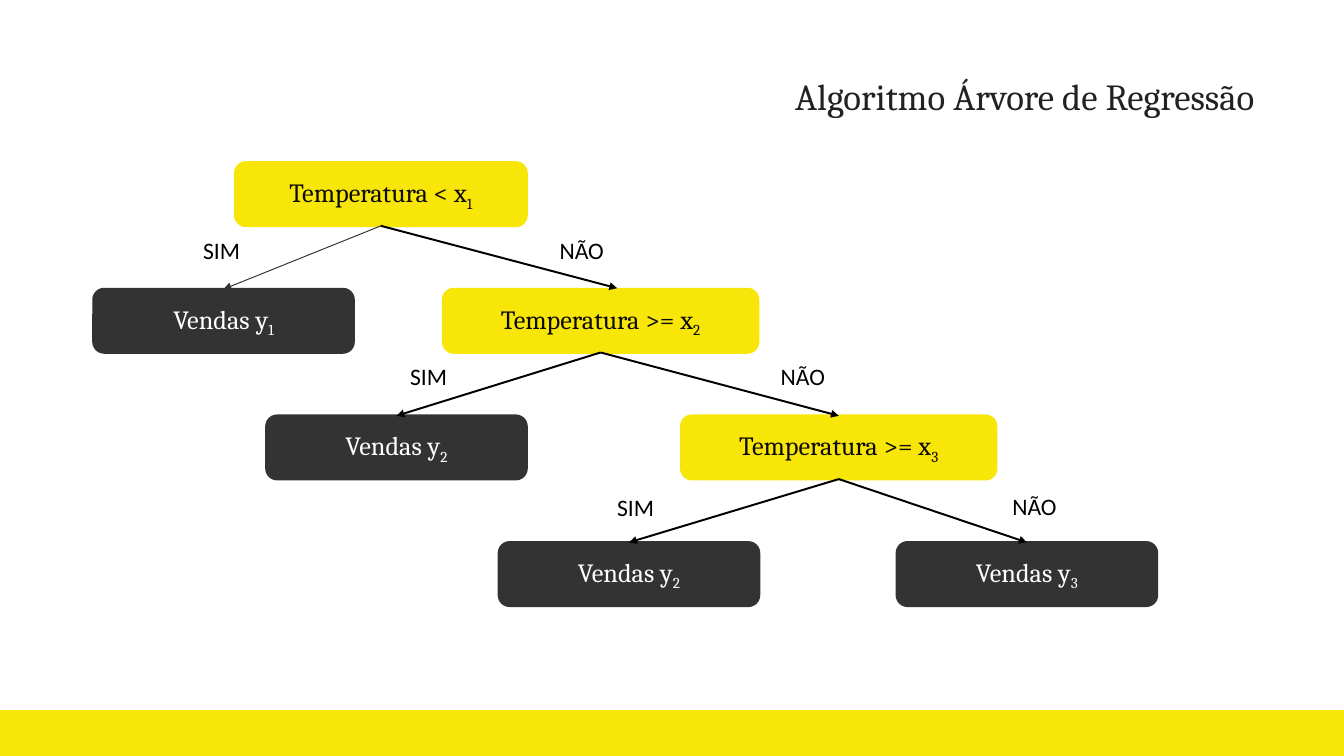
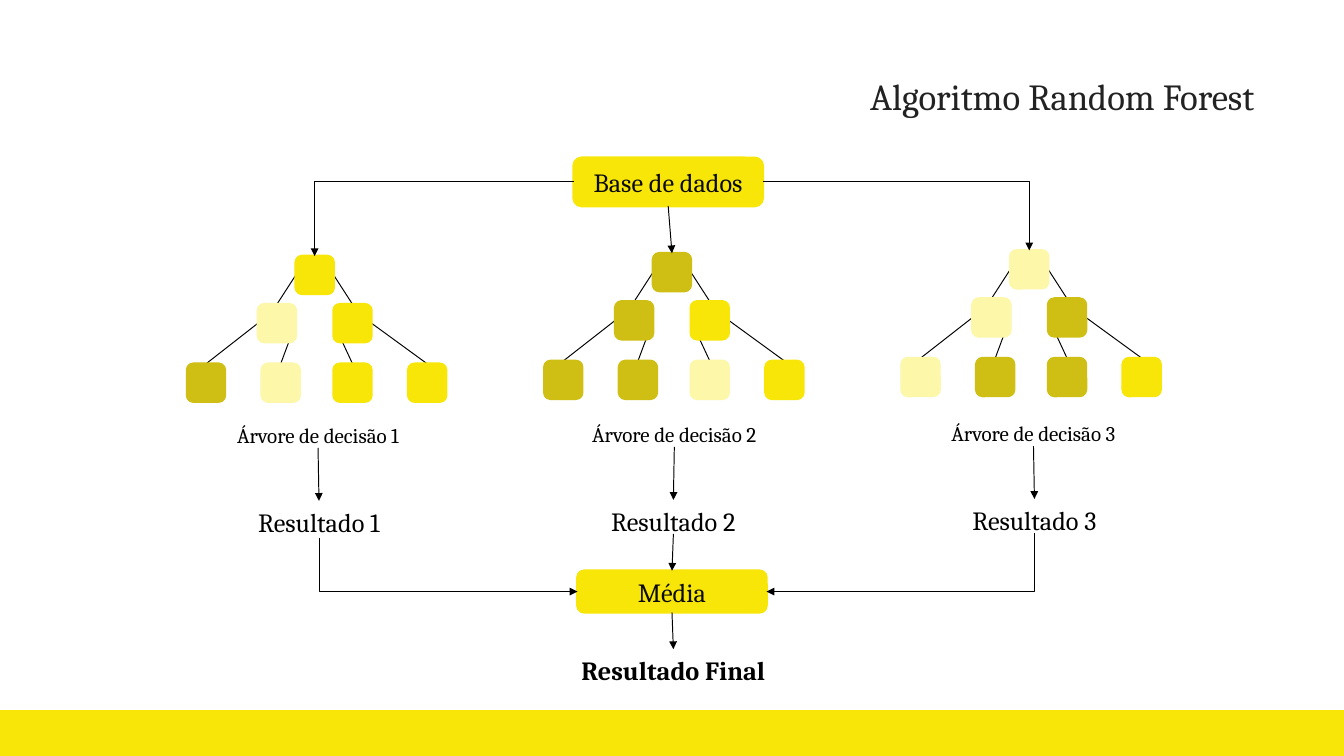
import pptx
import pptx.util
import pptx.dml.color
import pptx.enum.shapes
import pptx.enum.text
import pptx.oxml.ns
import lxml.etree

Inches = pptx.util.Inches
RGBColor = pptx.dml.color.RGBColor
Shape = pptx.enum.shapes.MSO_SHAPE
Connector = pptx.enum.shapes.MSO_CONNECTOR
Align = pptx.enum.text.PP_ALIGN
Anchor = pptx.enum.text.MSO_ANCHOR
qn = pptx.oxml.ns.qn

YELLOW = RGBColor(0xF7, 0xE6, 0x07)
OLIVE = RGBColor(0xCF, 0xBE, 0x13)
PALE = RGBColor(0xFD, 0xF7, 0xA9)
DARK = RGBColor(0x33, 0x33, 0x33)
TITLE_GREY = RGBColor(0x22, 0x22, 0x22)
INK = RGBColor(0x0B, 0x0B, 0x0B)
BLACK = RGBColor(0, 0, 0)
WHITE = RGBColor(0xFF, 0xFF, 0xFF)

# Connection sites of a box
TOP, LEFT, BOTTOM, RIGHT = range(4)

# Slide 1: name -> (text, subscript, left, top, width); sales boxes are leaves
REGRESSION_TITLE = "Algoritmo Árvore de Regressão"
NODE_HEIGHT = 0.67
DECISIONS = {
    "first": ("Temperatura < x", "1", 2.49, 1.72, 3.08),
    "second": ("Temperatura >= x", "2", 4.69, 3.06, 3.33),
    "third": ("Temperatura >= x", "3", 7.21, 4.4, 3.33),
}
SALES = {
    "sales 1": ("Vendas y", "1", 0.99, 3.06, 2.75),
    "sales 2": ("Vendas y", "2", 2.82, 4.4, 2.75),
    "sales 3": ("Vendas y", "2", 5.28, 5.74, 2.75),
    "sales 4": ("Vendas y", "3", 9.49, 5.74, 2.75),
}
# parent, child, answer, answer left, answer top, line colour, line width
ANSWERS = [
    ("first", "sales 1", "SIM", 1.97, 2.45, DARK, 0.75),
    ("first", "second", "NÃO", 5.78, 2.45, BLACK, 1.5),
    ("second", "sales 2", "SIM", 4.16, 3.78, BLACK, 1.5),
    ("second", "third", "NÃO", 8.12, 3.78, BLACK, 1.5),
    ("third", "sales 3", "SIM", 6.35, 5.17, BLACK, 1.5),
    ("third", "sales 4", "NÃO", 10.57, 5.16, BLACK, 1.5),
]
# The arrow into the second decision lands right of the box centre
FREE_LANDINGS = {"second": (6.53, 3.05)}

# Slide 2: node colours run from the root through each level, left to right
FOREST_TITLE = "Algoritmo Random Forest"
TREES = [
    {"root": (3.13, 2.71), "caption": (2.11, 4.35), "result": (2.12, 5.3, 0.39),
     "colors": [YELLOW, PALE, YELLOW, OLIVE, PALE, YELLOW, YELLOW]},
    {"root": (6.91, 2.68), "caption": (5.88, 4.34), "result": (5.87, 5.29, 0.36),
     "colors": [OLIVE, OLIVE, YELLOW, OLIVE, OLIVE, PALE, YELLOW]},
    {"root": (10.69, 2.65), "caption": (9.68, 4.33), "result": (9.69, 5.28, 0.36),
     "colors": [PALE, PALE, OLIVE, PALE, OLIVE, OLIVE, YELLOW]},
]
NODE_SIZE = 0.4
NODE_OFFSETS = [(0, 0), (-0.4, 0.51), (0.4, 0.51),
                (-1.15, 1.14), (-0.36, 1.14), (0.4, 1.14), (1.19, 1.14)]
CAPTION_WIDTH = 2.51


def write_text(shape, text, subscript="", size=20, font="Cambria", color=BLACK,
               bold=False, align=Align.CENTER, anchor=Anchor.TOP,
               inset=None, line_spacing=None, wrap=True):
    frame = shape.text_frame
    frame.word_wrap = wrap
    frame.vertical_anchor = anchor
    if inset is not None:
        frame.margin_left = frame.margin_right = Inches(inset)
        frame.margin_top = frame.margin_bottom = Inches(inset)
    paragraph = frame.paragraphs[0]
    paragraph.alignment = align
    if line_spacing:
        paragraph.line_spacing = pptx.util.Pt(line_spacing)
    for part in filter(None, (text, subscript)):
        run = paragraph.add_run()
        run.text = part
        run.font.name = font
        run.font.size = pptx.util.Pt(size)
        run.font.bold = bold
        run.font.color.rgb = color
    if subscript:
        run._r.get_or_add_rPr().set("baseline", "-25000")


def add_box(slide, left, top, width, height, color, kind=Shape.ROUNDED_RECTANGLE,
            line_width=2):
    box = slide.shapes.add_shape(kind, Inches(left), Inches(top),
                                 Inches(width), Inches(height))
    box.shadow.inherit = False
    box.fill.solid()
    box.fill.fore_color.rgb = color
    box.line.color.rgb = color
    box.line.width = pptx.util.Pt(line_width)
    return box


def add_label(slide, text, left, top, width, height, **text_format):
    label = slide.shapes.add_textbox(Inches(left), Inches(top),
                                     Inches(width), Inches(height))
    write_text(label, text, **text_format)
    return label


def bend(connector, vertical_first):
    """Give the connector one corner; turn it when it leaves vertically."""
    connector.element.spPr.find(qn("a:prstGeom")).set("prst", "bentConnector2")
    if not vertical_first:
        return
    goes_right = connector.end_x > connector.begin_x
    left, top = connector.left, connector.top
    width, height = connector.width, connector.height
    connector.left = left + (width - height) // 2
    connector.top = top + (height - width) // 2
    connector.width, connector.height = height, width
    transform = connector.element.spPr.find(qn("a:xfrm"))
    transform.set("rot", str((270 if goes_right else 90) * 60000))
    transform.set("flipH", "1" if goes_right else "0")


def link(slide, start, start_site, end, end_site, color=BLACK, width=0.75,
         arrow=True, bent=False, landing=None):
    kind = Connector.ELBOW if bent else Connector.STRAIGHT
    connector = slide.shapes.add_connector(kind, 0, 0, 0, 0)
    connector.begin_connect(start, start_site)
    if landing:
        connector.end_x, connector.end_y = map(Inches, landing)
    else:
        connector.end_connect(end, end_site)
    if bent:
        bend(connector, start_site in (TOP, BOTTOM))
    connector.line.color.rgb = color
    connector.line.width = pptx.util.Pt(width)
    properties = connector.element.spPr
    if arrow:
        tail = lxml.etree.SubElement(properties.find(qn("a:ln")), qn("a:tailEnd"))
        tail.set("type", "triangle")
    lxml.etree.SubElement(properties, qn("a:effectLst"))
    return connector


def start_slide(presentation, title_text):
    slide = presentation.slides.add_slide(presentation.slide_layouts[5])
    add_box(slide, 0, 7.52, 14.22, 0.51, YELLOW, Shape.RECTANGLE, 0.75)
    title = slide.shapes.title
    title.left, title.top = Inches(3.94), Inches(0.78)
    title.width, title.height = Inches(9.33), Inches(0.47)
    write_text(title, title_text, size=28, color=TITLE_GREY, align=Align.RIGHT,
               anchor=Anchor.MIDDLE, inset=0)
    return slide


def build_regression_tree(presentation):
    slide = start_slide(presentation, REGRESSION_TITLE)
    boxes = {}
    for nodes, fill, ink in ((DECISIONS, YELLOW, INK), (SALES, DARK, WHITE)):
        for name, (text, subscript, left, top, width) in nodes.items():
            boxes[name] = add_box(slide, left, top, width, NODE_HEIGHT, fill)
            write_text(boxes[name], text, subscript, color=ink, anchor=Anchor.MIDDLE)
    for parent, child, answer, left, top, color, width in ANSWERS:
        link(slide, boxes[parent], BOTTOM, boxes[child], TOP, color, width,
             landing=FREE_LANDINGS.get(child))
        add_label(slide, answer, left, top, 0.75, 0.4, size=18, font="Calibri")


def add_tree(slide, root, colors):
    nodes = [add_box(slide, root[0] + across, root[1] + down,
                     NODE_SIZE, NODE_SIZE, color)
             for (across, down), color in zip(NODE_OFFSETS, colors)]
    # Branches go behind the nodes
    for parent in range(3):
        for side, child in ((LEFT, 2 * parent + 1), (RIGHT, 2 * parent + 2)):
            branch = link(slide, nodes[parent], side, nodes[child], TOP, arrow=False)
            nodes[0].element.addprevious(branch.element)
    return nodes[0]


def build_random_forest(presentation):
    slide = start_slide(presentation, FOREST_TITLE)
    plain = {"inset": 0, "line_spacing": 28.2}

    # Source data, average and final result
    data = add_box(slide, 6.07, 1.67, 2, 0.51, YELLOW)
    write_text(data, "Base de dados", color=INK, anchor=Anchor.MIDDLE)
    average = add_box(slide, 6.11, 6.04, 2, 0.44, YELLOW)
    write_text(average, "Média", color=INK, anchor=Anchor.MIDDLE)
    final = add_label(slide, "Resultado Final", 5.87, 6.87, CAPTION_WIDTH, 0.36,
                      bold=True, **plain)
    link(slide, average, BOTTOM, final, TOP)

    # One tree, caption and result for each column
    for number, (tree, side) in enumerate(zip(TREES, (LEFT, BOTTOM, RIGHT)), 1):
        root = add_tree(slide, tree["root"], tree["colors"])
        caption = add_label(slide, f"Árvore de decisão {number}", *tree["caption"],
                            CAPTION_WIDTH, 0.39, size=16, **plain)
        left, top, height = tree["result"]
        result = add_label(slide, f"Resultado {number}", left, top,
                           CAPTION_WIDTH, height, **plain)
        bent = side != BOTTOM
        link(slide, data, side, root, TOP, bent=bent)
        link(slide, caption, BOTTOM, result, TOP)
        link(slide, result, BOTTOM, average, side if bent else TOP, bent=bent)


def main():
    presentation = pptx.Presentation()
    presentation.slide_width = Inches(14.22)
    presentation.slide_height = Inches(8)
    build_regression_tree(presentation)
    build_random_forest(presentation)
    presentation.save("out.pptx")


if __name__ == "__main__":
    main()
